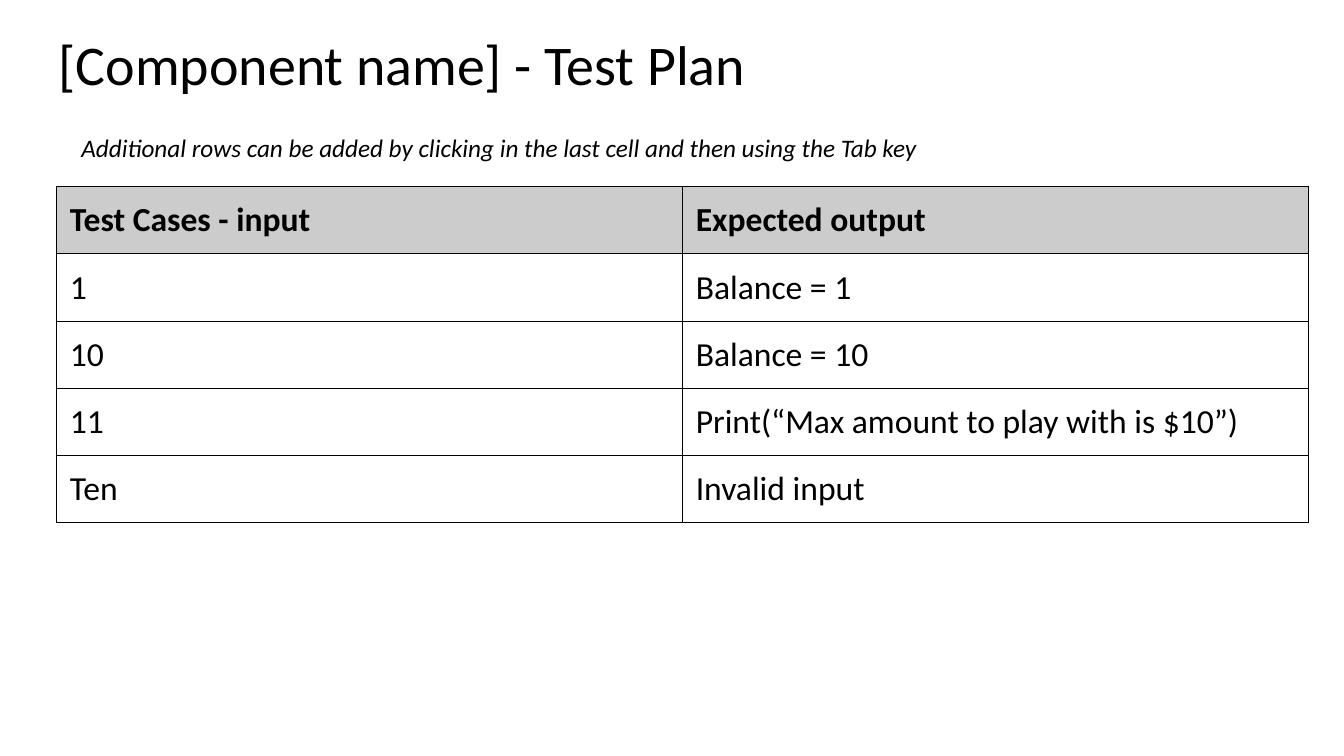
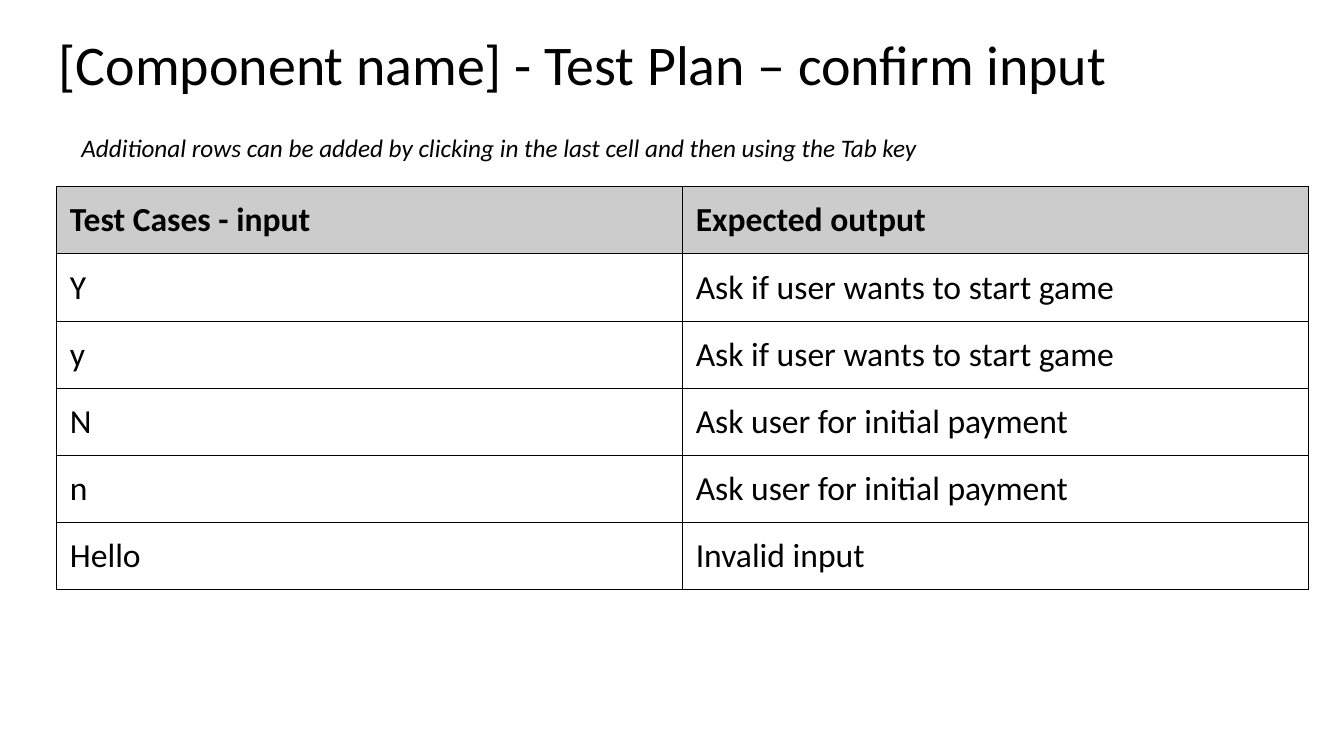
from pptx import Presentation
from pptx.dml.color import RGBColor
from pptx.enum import text
from pptx.oxml import ns, xmlchemy
from pptx.util import Pt

BLACK = RGBColor(0x00, 0x00, 0x00)
WHITE = RGBColor(0xFF, 0xFF, 0xFF)
HEADER_GRAY = RGBColor(0xCC, 0xCC, 0xCC)
FONT = "Calibri"
INSET = Pt(9.6)
COLUMN_WIDTH = Pt(447)
ROW_HEIGHT = Pt(48)
BORDER = Pt(0.75)

HEADERS = ("Test Cases - input", "Expected output")
HINT = "Additional rows can be added by clicking in the last cell and then using the Tab key"
TEST_PLANS = [
    ("[Component name] - Test Plan", [
        ("1", "Balance = 1"),
        ("10", "Balance = 10"),
        ("11", "Print(“Max amount to play with is $10”)"),
        ("Ten", "Invalid input"),
    ]),
    ("[Component name] - Test Plan – confirm input", [
        ("Y", "Ask if user wants to start game"),
        ("y", "Ask if user wants to start game"),
        ("N", "Ask user for initial payment"),
        ("n", "Ask user for initial payment"),
        ("Hello", "Invalid input"),
    ]),
]


def write(frame, words, size, bold=False, italic=False):
    """Put one styled paragraph in a text frame."""
    paragraph = frame.paragraphs[0]
    paragraph.text = words
    font = paragraph.font
    font.name, font.size = FONT, Pt(size)
    font.bold, font.italic = bold, italic
    font.color.rgb = BLACK
    return paragraph


def add_borders(cell):
    """Draw a thin black line on all four sides of a cell."""
    properties = cell._tc.get_or_add_tcPr()
    for position, side in enumerate(("a:lnL", "a:lnR", "a:lnT", "a:lnB")):
        line = xmlchemy.OxmlElement(side)
        line.set("w", str(BORDER))
        fill = line.makeelement(ns.qn("a:solidFill"))
        fill.append(fill.makeelement(ns.qn("a:srgbClr"), {"val": str(BLACK)}))
        line.append(fill)
        properties.insert(position, line)


prs = Presentation()
prs.slide_width, prs.slide_height = Pt(960), Pt(540)

for title, cases in TEST_PLANS:
    slide = prs.slides.add_slide(prs.slide_layouts[6])
    slide.background.fill.solid()
    slide.background.fill.fore_color.rgb = WHITE

    # Title
    heading = slide.shapes.add_textbox(Pt(32.4), Pt(17.3), Pt(894), Pt(60.5)).text_frame
    heading.word_wrap = True
    heading.vertical_anchor = text.MSO_ANCHOR.TOP
    heading.margin_left = heading.margin_right = INSET
    heading.margin_top = heading.margin_bottom = INSET
    write(heading, title, 40).line_spacing = 0.9

    # Table of test cases
    rows = [HEADERS, *cases]
    plan = slide.shapes.add_table(len(rows), len(HEADERS), Pt(40.4), Pt(133.3),
                                  COLUMN_WIDTH * len(HEADERS),
                                  ROW_HEIGHT * len(rows)).table
    plan.first_row = plan.horz_banding = False
    for column in plan.columns:
        column.width = COLUMN_WIDTH
    for row_index, row in enumerate(rows):
        plan.rows[row_index].height = ROW_HEIGHT
        is_header = row_index == 0
        for column_index, words in enumerate(row):
            cell = plan.cell(row_index, column_index)
            cell.margin_left = cell.margin_right = INSET
            cell.margin_top = cell.margin_bottom = INSET
            write(cell.text_frame, words, 24, bold=is_header)
            if is_header:
                cell.fill.solid()
                cell.fill.fore_color.rgb = HEADER_GRAY
            else:
                cell.fill.background()
            add_borders(cell)

    # Hint above the table
    hint = slide.shapes.add_textbox(Pt(51), Pt(90.7), Pt(788), Pt(29)).text_frame
    hint.word_wrap = True
    hint.auto_size = text.MSO_AUTO_SIZE.SHAPE_TO_FIT_TEXT
    write(hint, HINT, 18, italic=True)

prs.save("out.pptx")
